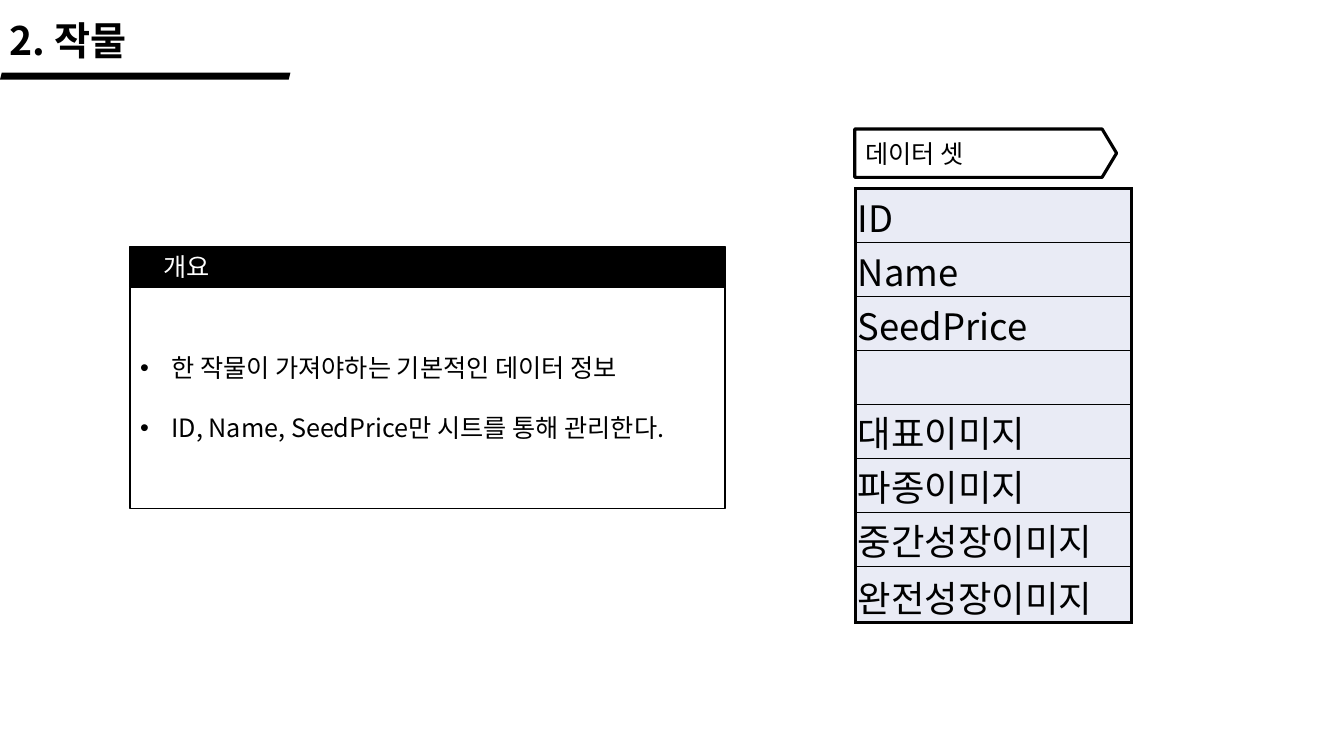
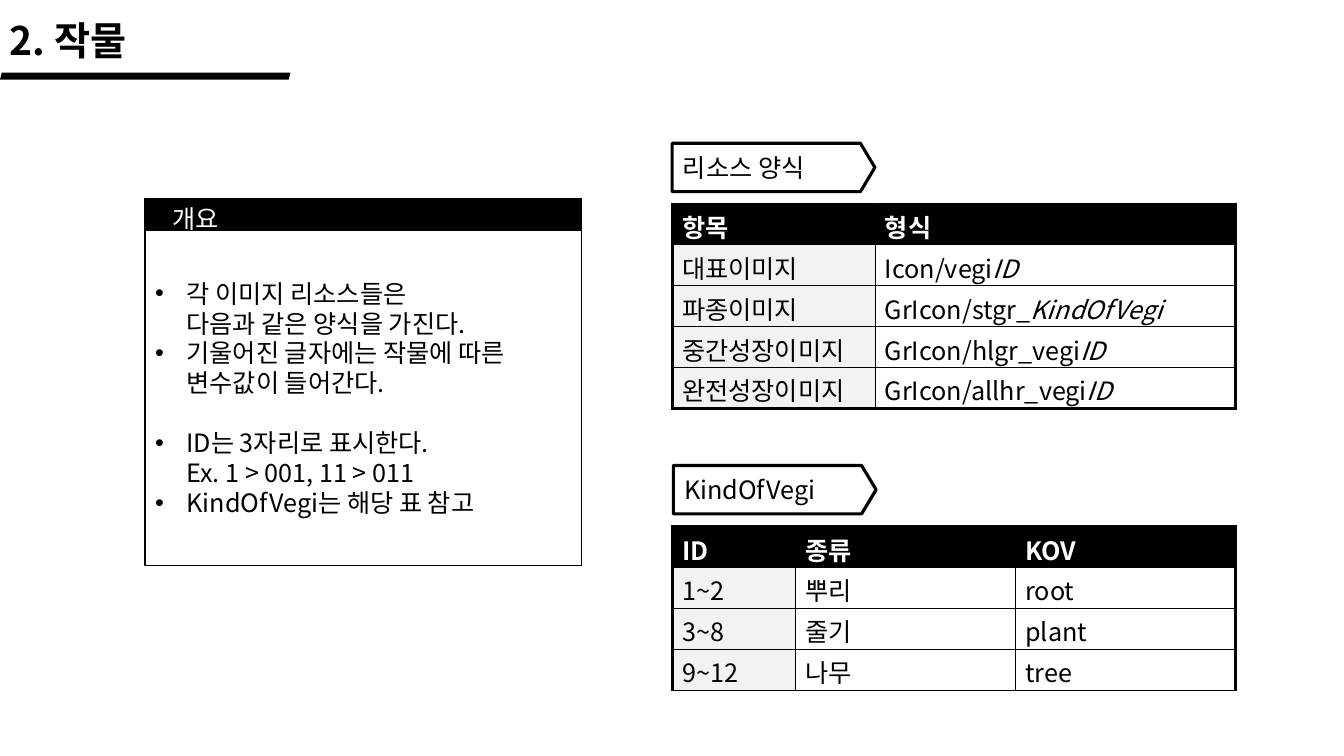
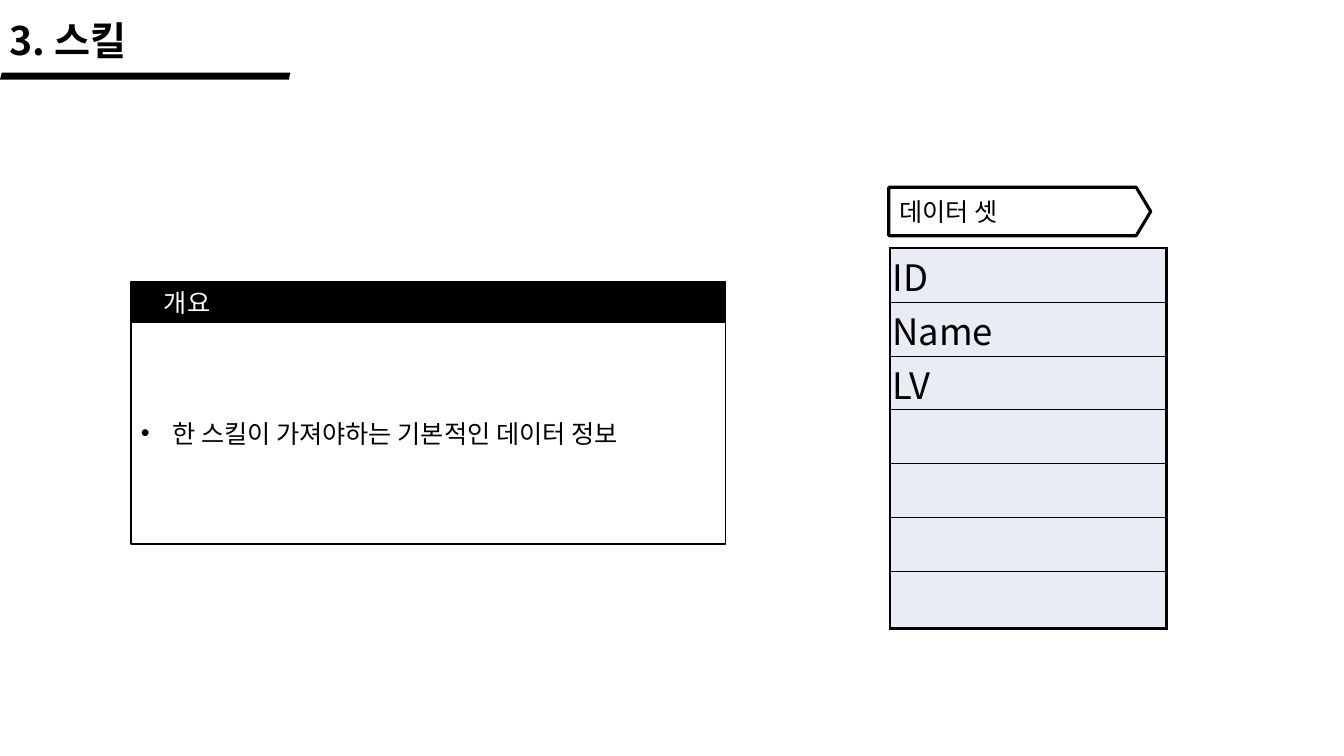
from dataclasses import dataclass
from lxml import etree
from pptx import Presentation
from pptx.dml.color import RGBColor
from pptx.enum.shapes import MSO_SHAPE
from pptx.enum.text import MSO_ANCHOR, PP_ALIGN
from pptx.oxml.ns import qn
from pptx.util import Cm, Pt

BAR, TAG, RECT = MSO_SHAPE.PARALLELOGRAM, MSO_SHAPE.PENTAGON, MSO_SHAPE.RECTANGLE
TOP, MID, LOW = MSO_ANCHOR.TOP, MSO_ANCHOR.MIDDLE, MSO_ANCHOR.BOTTOM
LEFT = PP_ALIGN.LEFT


@dataclass(frozen=True)
class Theme:
    font: str = "Noto Sans CJK KR"
    ink: str = "000000"
    paper: str = "FFFFFF"
    pale: str = "F2F2F2"
    tint: str = "E9EBF5"
    title: int = 28
    field: int = 26
    body: int = 18
    thin: float = 0.75
    edge: float = 1
    thick: float = 2.25
    lead: float = 1.19


T = Theme()

# Content: lengths in cm; "\n" breaks a line, "|" starts italics
SLIDES = [
    {
        "title": "2. 작물",
        "panel": {
            "box": (3.28, 6.22, 14.99, 6.6), "head": 1.02, "inset": 0.58,
            "points": ["한 작물이 가져야하는 기본적인 데이터 정보",
                       "ID, Name, SeedPrice만 시트를 통해 관리한다."],
            "gaps": [1],
        },
        "fields": {
            "at": (21.56, 4.75), "tag": (21.54, 3.25),
            "names": ["ID", "Name", "SeedPrice", "", "대표이미지",
                      "파종이미지", "중간성장이미지", "완전성장이미지"],
        },
    },
    {
        "title": "2. 작물",
        "panel": {
            "box": (3.66, 5, 11, 9.25), "head": 0.81, "inset": 0.43,
            "points": ["각 이미지 리소스들은\n다음과 같은 양식을 가진다.",
                       "기울어진 글자에는 작물에 따른\n변수값이 들어간다.",
                       "ID는 3자리로 표시한다.\nEx. 1 > 001, 11 > 011",
                       "KindOfVegi는 해당 표 참고"],
            "gaps": [2],
        },
        "grids": [
            {"tag": ("리소스 양식", 16.94, 3.61), "at": (16.94, 5.14),
             "cols": [5.11, 9.09], "foot": T.thick,
             "rows": [("항목", "형식"),
                      ("대표이미지", "Icon/vegi|ID"),
                      ("파종이미지", "GrIcon/stgr_|KindOfVegi"),
                      ("중간성장이미지", "GrIcon/hlgr_vegi|ID"),
                      ("완전성장이미지", "GrIcon/allhr_vegi|ID")]},
            {"tag": ("KindOfVegi", 16.97, 11.73), "at": (16.94, 13.27),
             "cols": [3.1, 5.55, 5.55], "foot": T.thin,
             "rows": [("ID", "종류", "KOV"),
                      ("1~2", "뿌리", "root"),
                      ("3~8", "줄기", "plant"),
                      ("9~12", "나무", "tree")]},
        ],
    },
    {
        "title": "3. 스킬",
        "panel": {
            "box": (3.3, 7.11, 14.99, 6.6), "head": 1.02, "inset": 0.58,
            "points": ["한 스킬이 가져야하는 기본적인 데이터 정보"], "gaps": [],
        },
        "fields": {
            "at": (22.43, 6.25), "tag": (22.4, 4.72),
            "names": ["ID", "Name", "LV", "", "", "", ""],
        },
    },
]


# Text
def rgb(hue):
    return RGBColor.from_string(hue)


def add_run(para, text, size, hue, bold=False, slant=False):
    run = para.add_run()
    run.text = text
    font = run.font
    font.name, font.size, font.bold, font.italic = T.font, Pt(size), bold, slant
    font.color.rgb = rgb(hue)
    east = etree.SubElement(run._r.get_or_add_rPr(), qn("a:ea"))
    east.set("typeface", T.font)


def write(para, text, size, hue, bold=False):
    para.alignment = LEFT
    para.line_spacing = Pt(round(size * T.lead, 1))
    for i, line in enumerate(text.split("\n")):
        if i:
            para.add_line_break()
        for j, part in enumerate(line.split("|")):
            if part:
                add_run(para, part, size, hue, bold, j > 0)


def bullet(para):
    props = para._p.get_or_add_pPr()
    props.set("marL", str(Cm(0.79)))
    props.set("indent", str(-Cm(0.79)))
    etree.SubElement(props, qn("a:buFont")).set("typeface", "Arial")
    etree.SubElement(props, qn("a:buChar")).set("char", "•")


def margins(item, left, top, right, low):
    item.margin_left, item.margin_top = Cm(left), Cm(top)
    item.margin_right, item.margin_bottom = Cm(right), Cm(low)


# Shapes
def add_box(slide, kind, box, fill, line=0):
    shape = slide.shapes.add_shape(kind, *map(Cm, box))
    shape.shadow.inherit = False
    shape.fill.solid()
    shape.fill.fore_color.rgb = rgb(fill)
    if line:
        shape.line.color.rgb = rgb(T.ink)
        shape.line.width = Pt(line)
    else:
        shape.line.fill.background()
    shape.text_frame.word_wrap = True
    return shape


def add_title(slide, text):
    box = slide.shapes.add_textbox(Cm(0), Cm(0.28), Cm(7.8), Cm(1.45))
    frame = box.text_frame
    frame.word_wrap = True
    margins(frame, 0.25, 0.15, 0.25, 0)
    write(frame.paragraphs[0], text, T.title, T.ink, True)
    add_box(slide, BAR, (0, 1.83, 7.32, 0.18), T.ink)


def add_tag(slide, text, x, y, wide):
    shape = add_box(slide, TAG, (x, y, wide, 1.22), T.paper, T.thick)
    shape.adjustments[0] = 0.3
    frame = shape.text_frame
    frame.vertical_anchor = MID
    margins(frame, 0.27, 0.13, 0, 0.13)
    write(frame.paragraphs[0], text, T.body, T.ink)


def add_panel(slide, box, head, inset, points, gaps):
    x, y, wide, high = box
    top = add_box(slide, RECT, (x, y, wide, head), T.ink, T.edge).text_frame
    top.vertical_anchor = TOP
    margins(top, inset + 0.25, 0.13, 0.25, 0)
    write(top.paragraphs[0], "개요", T.body, T.paper)
    area = (x, y + head, wide, high - head)
    frame = add_box(slide, RECT, area, T.paper, T.edge).text_frame
    frame.vertical_anchor = MID
    for i, point in enumerate(points):
        para = frame.add_paragraph() if i else frame.paragraphs[0]
        write(para, point, T.body, T.ink)
        if i in gaps:
            para.space_before = Pt(T.body * T.lead)
        bullet(para)


# Tables
def border(cell, sides):
    props = cell._tc.get_or_add_tcPr()
    for i, (side, width) in enumerate(sides.items()):
        line = etree.Element(qn("a:ln" + side), w=str(Pt(width)))
        fill = etree.SubElement(line, qn("a:solidFill"))
        etree.SubElement(fill, qn("a:srgbClr")).set("val", T.ink)
        props.insert(i, line)


def add_grid(slide, at, cols, highs, rows, foot, style):
    """Draw a table; style(cell, row, col) gives fill, size, colour, bold."""
    size = (sum(cols), sum(highs))
    frame = slide.shapes.add_table(len(rows), len(cols), *map(Cm, at + size))
    table = frame.table
    for col, wide in zip(table.columns, cols):
        col.width = Cm(wide)
    for row, high in zip(table.rows, highs):
        row.height = Cm(high)
    for r, texts in enumerate(rows):
        for c, text in enumerate(texts):
            cell = table.cell(r, c)
            fill, size, hue, bold = style(cell, r, c)
            cell.fill.solid()
            cell.fill.fore_color.rgb = rgb(fill)
            if text:
                write(cell.text_frame.paragraphs[0], text, size, hue, bold)
            border(cell, {
                "L": T.thin if c else T.thick,
                "R": T.thin if c < len(cols) - 1 else T.thick,
                "T": T.thin if r else T.thick,
                "B": T.thin if r < len(rows) - 1 else foot,
            })


def field_style(cell, r, c):
    cell.vertical_anchor = LOW
    margins(cell, 0.06, 0.04, 0.04, 0)
    return T.tint, T.field, T.ink, False


def grid_style(cell, r, c):
    margins(cell, 0.25, 0.27, 0.25, 0)
    if r == 0:
        return T.ink, T.body, T.paper, True
    return (T.paper if c else T.pale), T.body, T.ink, False


def add_fields(slide, at, tag, names):
    add_tag(slide, "데이터 셋", *tag, 6.6)
    highs = [1.36] * (len(names) - 1) + [1.42]
    add_grid(slide, at, [6.96], highs, [(n,) for n in names], T.thick, field_style)


# Build
deck = Presentation()
deck.slide_width, deck.slide_height = Cm(33.87), Cm(19.05)
for page in SLIDES:
    slide = deck.slides.add_slide(deck.slide_layouts[6])
    add_title(slide, page["title"])
    add_panel(slide, **page["panel"])
    if "fields" in page:
        add_fields(slide, **page["fields"])
    for grid in page.get("grids", []):
        add_tag(slide, *grid["tag"], 5.11)
        rows = grid["rows"]
        add_grid(slide, grid["at"], grid["cols"], [1.03] * len(rows), rows,
                 grid["foot"], grid_style)
deck.save("out.pptx")
